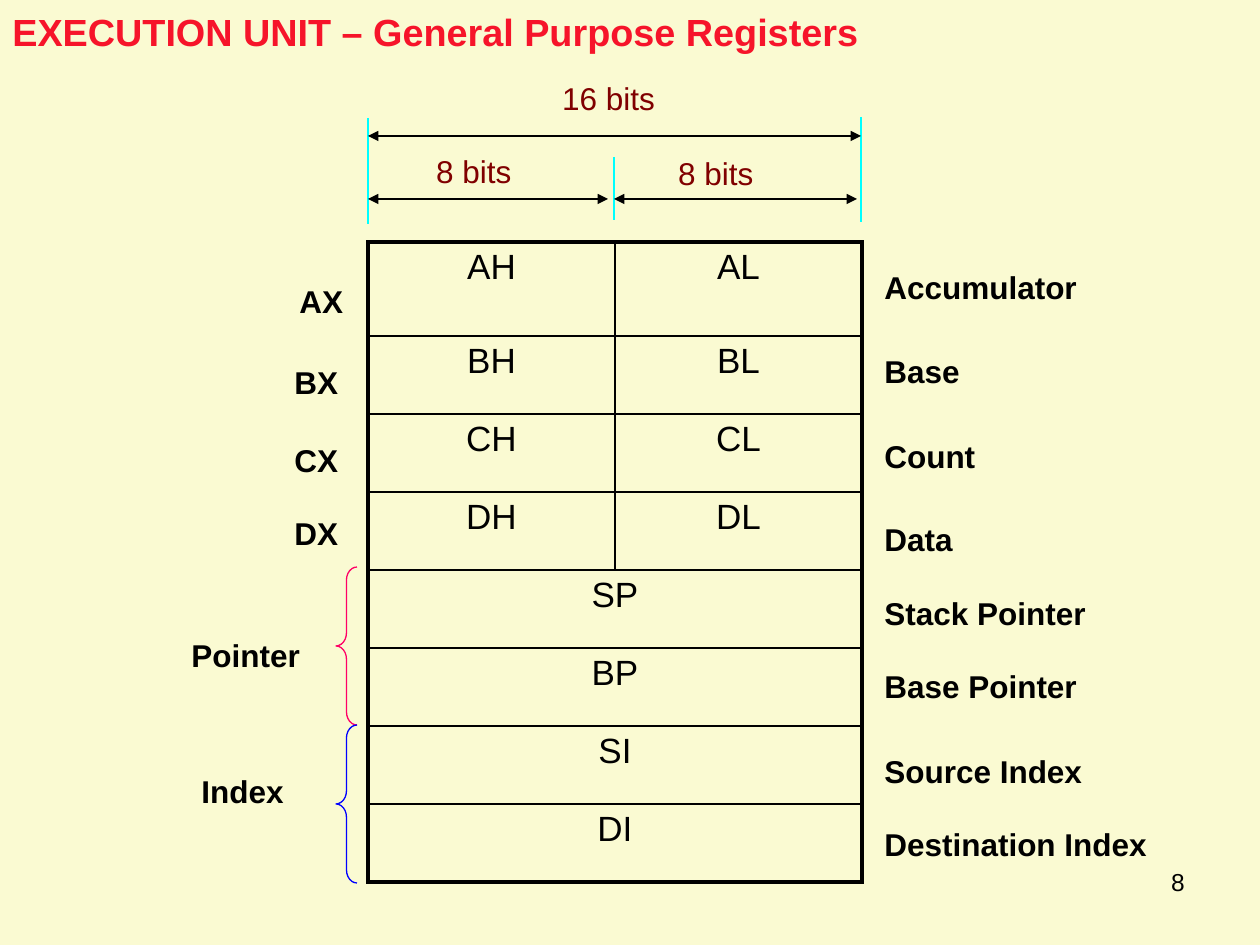
from lxml.etree import SubElement
from pptx import Presentation
from pptx.dml.color import RGBColor
from pptx.enum.shapes import MSO_CONNECTOR, MSO_SHAPE
from pptx.enum.text import MSO_ANCHOR, PP_ALIGN
from pptx.oxml import parse_xml
from pptx.oxml.ns import nsdecls, qn
from pptx.util import Emu, Pt

CREAM = RGBColor(0xFA, 0xFA, 0xD2)
RED = RGBColor(0xF6, 0x14, 0x2A)
MAROON = RGBColor(0x80, 0x00, 0x00)
BLACK = RGBColor(0x00, 0x00, 0x00)
CYAN = RGBColor(0x00, 0xFF, 0xFF)
PINK = RGBColor(0xFF, 0x00, 0x66)
BLUE = RGBColor(0x00, 0x00, 0xFF)

HALVES = [("AH", "AL"), ("BH", "BL"), ("CH", "CL"), ("DH", "DL")]
WHOLES = ["SP", "BP", "SI", "DI"]
ROLES = [("Accumulator", 0), ("Base", 84), ("Count", 169), ("Data", 252),
         ("Stack Pointer", 326), ("Base Pointer", 399),
         ("Source Index", 484), ("Destination Index", 557)]
PAIRS = [("AX", 5, 0), ("BX", 0, 81), ("CX", 0, 159), ("DX", 0, 232)]
LABEL_HEIGHT = 50


def px(length):
    """Turn pixels at 126 to the inch into EMU."""
    return Emu(round(length * 914400 / 126))


def style_text(paragraph, size, color, bold=False):
    """Set the font of every run in a paragraph."""
    for run in paragraph.runs:
        run.font.name = "Arial"
        run.font.size = Pt(size)
        run.font.bold = bold
        run.font.color.rgb = color


def add_label(slide, text, left, top, width, height=LABEL_HEIGHT, size=18,
              color=BLACK, bold=True, inset=None):
    """Add one line of text and return its text frame."""
    frame = slide.shapes.add_textbox(px(left), px(top), px(width), px(height)).text_frame
    frame.word_wrap = True
    frame.text = text
    if inset is not None:
        frame.margin_left = px(inset)
    style_text(frame.paragraphs[0], size, color, bold)
    return frame


def add_line(slide, start, end, color, arrows=False):
    """Draw a thin line, with arrowheads at both ends if asked."""
    connector = slide.shapes.add_connector(
        MSO_CONNECTOR.STRAIGHT, px(start[0]), px(start[1]), px(end[0]), px(end[1]))
    connector.line.color.rgb = color
    connector.line.width = Pt(0.75)
    if arrows:
        outline = connector.line._get_or_add_ln()
        for tag in ("a:headEnd", "a:tailEnd"):
            SubElement(outline, qn(tag), type="triangle")
    SubElement(connector._element.spPr, qn("a:effectLst"))


def add_title(slide, left, top, width, height):
    """Write the shadowed heading."""
    frame = add_label(slide, "EXECUTION UNIT – General Purpose Registers",
                      left, top, width, height, 21.6, RED)
    frame.vertical_anchor = MSO_ANCHOR.BOTTOM
    properties = frame.paragraphs[0].runs[0].font._element
    properties.insert(1, parse_xml(
        f'<a:effectLst {nsdecls("a")}><a:outerShdw dist="35921" dir="2700000">'
        '<a:srgbClr val="808080"/></a:outerShdw></a:effectLst>'))


def add_bit_widths(slide, left, top, width):
    """Draw the measuring lines for the whole register and its halves."""
    middle, right = left + width // 2, left + width
    for x, start, end in [(middle, 84, 147), (left, 45, 151), (right, 44, 149)]:
        add_line(slide, (x, top + start), (x, top + end), CYAN)
    for start, end, y in [(left, right, 63), (left, middle - 6, 126), (middle, right - 4, 126)]:
        add_line(slide, (start, top + y), (end, top + y), BLACK, arrows=True)
    for text, x, y in [("16 bits", 146, 0), ("8 bits", 20, 73), ("8 bits", 262, 75)]:
        add_label(slide, text, left + x, top + y, 210, color=MAROON, bold=False, inset=48)


def set_borders(cell, widths):
    """Give a cell black borders from widths in points by side."""
    properties = cell._tc.get_or_add_tcPr()
    for index, side in enumerate("LRTB"):
        properties.insert(index, parse_xml(
            f'<a:ln{side} {nsdecls("a")} w="{Pt(widths[side])}"><a:solidFill>'
            f'<a:srgbClr val="{BLACK}"/></a:solidFill></a:ln{side}>'))


def add_registers(slide, left, top, width, first_height, row_height):
    """Build the register table with split and whole rows."""
    rows = HALVES + [(name, "") for name in WHOLES]
    last = len(rows) - 1
    table = slide.shapes.add_table(
        len(rows), 2, px(left), px(top), px(width),
        px(first_height + last * row_height)).table
    table.first_row = table.horz_banding = False
    for column in table.columns:
        column.width = px(width / 2)
    for r, names in enumerate(rows):
        table.rows[r].height = px(row_height if r else first_height)
        if r >= len(HALVES):
            table.cell(r, 0).merge(table.cell(r, 1))
        for c, name in enumerate(names):
            cell = table.cell(r, c)
            cell.fill.background()
            whole = r >= len(HALVES)
            outer = {"L": c == 0, "R": c == 1 or whole, "T": r == 0, "B": r == last}
            set_borders(cell, {side: 2.25 if edge else 1 for side, edge in outer.items()})
            if name:
                cell.text = name
                paragraph = cell.text_frame.paragraphs[0]
                paragraph.alignment = PP_ALIGN.CENTER
                style_text(paragraph, 20, BLACK)


def add_pair_names(slide, left, top):
    """Name the 16-bit pairs beside the table."""
    for name, x, y in PAIRS:
        add_label(slide, name, left + x, top + y, 84)


def add_groups(slide, left, top):
    """Bracket the pointer and index rows."""
    height = 158
    for row, (name, color, x, y) in enumerate(
            [("Pointer", PINK, 0, 63), ("Index", BLUE, 10, 199)]):
        brace = slide.shapes.add_shape(
            MSO_SHAPE.LEFT_BRACE, px(left + 157), px(top + row * height), px(21), px(height))
        brace.adjustments[0] = 0.625
        brace.shadow.inherit = False
        brace.fill.background()
        brace.line.color.rgb = color
        brace.line.width = Pt(0.75)
        add_label(slide, name, left + x, top + y, 147)


def add_roles(slide, left, top, width):
    """List what each register is for."""
    for role, y in ROLES:
        add_label(slide, role, left, top + y, width)


def add_page_number(slide, left, top, width, height):
    """Write the page number at the right."""
    frame = add_label(slide, "8", left, top, width, height, 14, bold=False)
    frame.paragraphs[0].alignment = PP_ALIGN.RIGHT


def main():
    """Build and save the slide."""
    presentation = Presentation()
    presentation.slide_width, presentation.slide_height = px(1260), px(945)
    slide = presentation.slides.add_slide(presentation.slide_layouts[6])
    slide.background.fill.solid()
    slide.background.fill.fore_color.rgb = CREAM
    add_title(slide, 0, 7, 1260, 53)
    add_registers(slide, 368, 242, 494, 94, 78)
    add_page_number(slide, 903, 861, 294, 65)
    add_pair_names(slide, 282, 276)
    add_groups(slide, 179, 567)
    add_bit_widths(slide, 368, 73, 493)
    add_roles(slide, 872, 262, 336)
    presentation.save("out.pptx")


if __name__ == "__main__":
    main()
